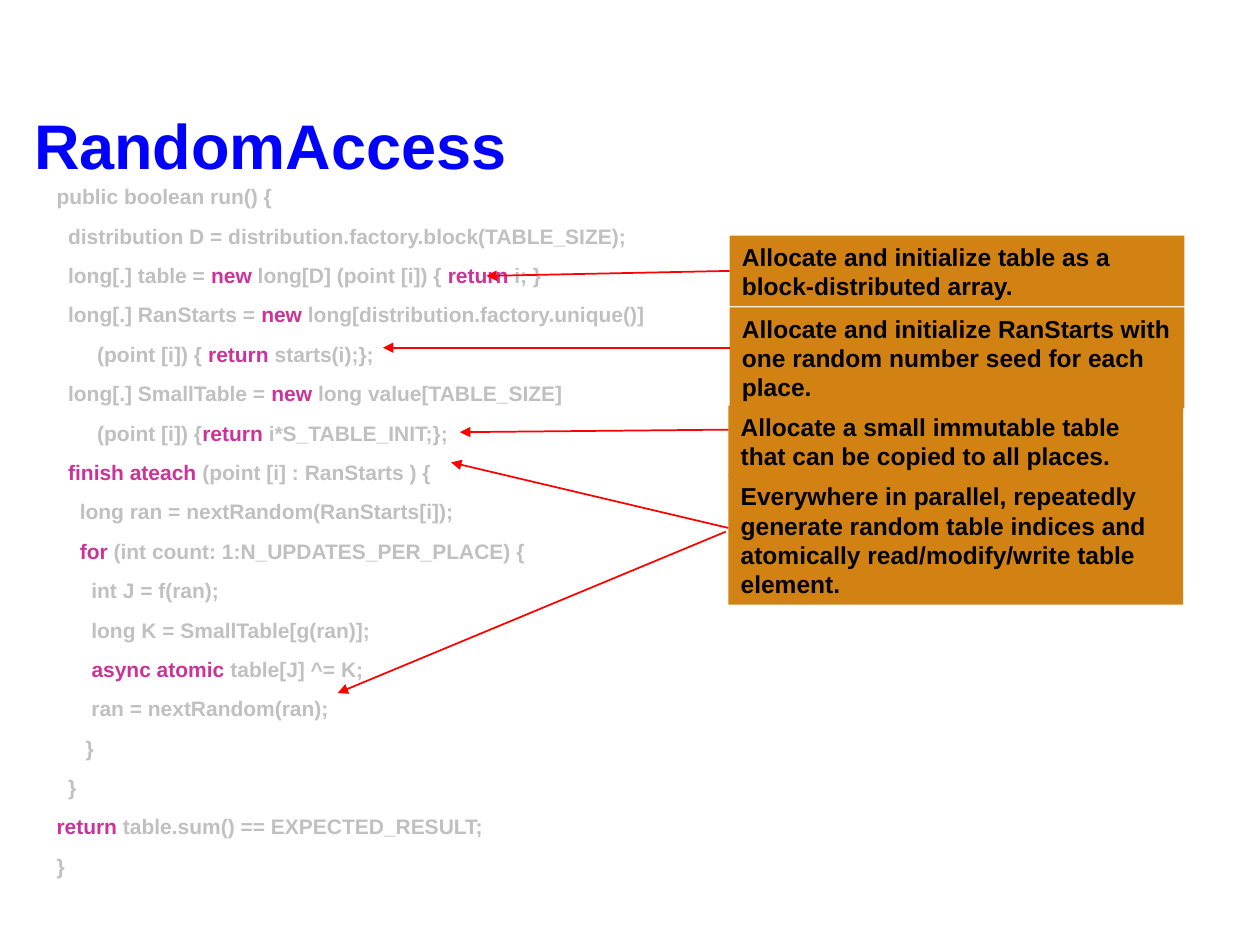
"""Build the RandomAccess slide: annotated code with call-outs."""
from lxml import etree
from pptx import Presentation
from pptx.dml.color import RGBColor
from pptx.enum.shapes import MSO_CONNECTOR, MSO_SHAPE
from pptx.enum.text import MSO_ANCHOR, MSO_AUTO_SIZE, PP_ALIGN
from pptx.oxml.ns import qn
from pptx.util import Inches, Pt

STRAIGHT = MSO_CONNECTOR.STRAIGHT
RECTANGLE = MSO_SHAPE.RECTANGLE
TOP, BOTTOM = MSO_ANCHOR.TOP, MSO_ANCHOR.BOTTOM
NO_FIT = MSO_AUTO_SIZE.NONE
LEFT = PP_ALIGN.LEFT
LEFT_SIDE = 1

COLORS = {
    "title": "0000FF",
    "code": "C0C0C0",
    "keyword": "CC3399",
    "note": "000000",
    "note_fill": "D18213",
    "arrow": "FF0000",
}

KEYWORD_MARK = "|"
CODE = [
    "public boolean run() {",
    "  distribution D = distribution.factory.block(TABLE_SIZE);",
    "  long[.] table = |new| long[D] (point [i]) { |return| i; }",
    "  long[.] RanStarts = |new| long[distribution.factory.unique()]",
    "       (point [i]) { |return| starts(i);};",
    "  long[.] SmallTable = |new| long value[TABLE_SIZE]",
    "       (point [i]) {|return| i*S_TABLE_INIT;};",
    "  |finish ateach| (point [i] : RanStarts ) {",
    "    long ran = nextRandom(RanStarts[i]);",
    "    |for| (int count: 1:N_UPDATES_PER_PLACE) {",
    "      int J = f(ran);",
    "      long K = SmallTable[g(ran)];",
    "      |async atomic| table[J] ^= K;",
    "      ran = nextRandom(ran);",
    "     }",
    "  }",
    "|return| table.sum() == EXPECTED_RESULT;",
    "}",
]

NOTES = [
    (57.9, 18.7, 5.6, "Allocate and initialize table as a block-distributed array."),
    (57.9, 24.4, 8, "Allocate and initialize RanStarts with one random number seed for each place."),
    (57.8, 32.2, 5.6, "Allocate a small immutable table that can be copied to all places."),
    (57.8, 37.7, 10.3, "Everywhere in parallel, repeatedly generate random table indices "
                       "and atomically read/modify/write table element."),
]
NOTE_WIDTH = 36.1

TABLE_ARROW = ((57.9, 21.5), (38.6, 21.9))
OTHER_ARROWS = [
    ((57.9, 27.6), (30.4, 27.6)),
    ((57.8, 34.1), (36.5, 34.3)),
    ((57.8, 41.9), (35.8, 36.7)),
    ((57.6, 42.2), (26.8, 55)),
]


class SlideBuilder:
    """Draws styled elements on a grid of 100 columns by 75 rows."""

    def __init__(self, columns=100, rows=75, font="Arial"):
        self.deck = Presentation()
        self.deck.slide_width, self.deck.slide_height = Inches(10), Inches(7.5)
        self.column = self.deck.slide_width / columns
        self.row = self.deck.slide_height / rows
        self.font = font
        self.slide = self.deck.slides.add_slide(self.deck.slide_layouts[5])

    def place(self, *lengths):
        """Turn alternating columns and rows into slide lengths."""
        return [round(length * (self.row if index % 2 else self.column))
                for index, length in enumerate(lengths)]

    def prepare(self, frame, anchor, wrap):
        frame.auto_size = NO_FIT
        frame.word_wrap = wrap
        frame.vertical_anchor = anchor
        frame.margin_left = frame.margin_right = Inches(0.1)
        frame.margin_top = frame.margin_bottom = Inches(0.05)

    def add_run(self, paragraph, text, size, color):
        paragraph.alignment = LEFT
        run = paragraph.add_run()
        run.text = text
        run.font.name, run.font.size, run.font.bold = self.font, Pt(size), True
        run.font.color.rgb = RGBColor.from_string(COLORS[color])

    def add_title(self, text, *area):
        title = self.slide.shapes.title
        title.left, title.top, title.width, title.height = self.place(*area)
        self.prepare(title.text_frame, BOTTOM, True)
        heading = title.text_frame.paragraphs[0]
        heading.line_spacing = 0.9
        self.add_run(heading, text, 36, "title")

    def add_code(self, lines, *area):
        frame = self.slide.shapes.add_textbox(*self.place(*area)).text_frame
        self.prepare(frame, TOP, False)
        for number, line in enumerate(lines):
            paragraph = frame.add_paragraph() if number else frame.paragraphs[0]
            if number:
                paragraph.space_before = Pt(8.1)
            for index, part in enumerate(line.split(KEYWORD_MARK)):
                if part:
                    self.add_run(paragraph, part, 12, "keyword" if index % 2 else "code")

    def add_note(self, text, *area):
        note = self.slide.shapes.add_shape(RECTANGLE, *self.place(*area))
        note.shadow.inherit = False
        note.fill.solid()
        note.fill.fore_color.rgb = RGBColor.from_string(COLORS["note_fill"])
        note.line.fill.background()
        self.prepare(note.text_frame, TOP, True)
        self.add_run(note.text_frame.paragraphs[0], text, 14, "note")
        return note

    def add_arrow(self, start, end):
        arrow = self.slide.shapes.add_connector(STRAIGHT, *self.place(*start, *end))
        arrow.line.color.rgb = RGBColor.from_string(COLORS["arrow"])
        arrow.line.width = Pt(1)
        etree.SubElement(arrow.line._get_or_add_ln(), qn("a:tailEnd"), type="triangle")
        etree.SubElement(arrow._element.spPr, qn("a:effectLst"))
        return arrow

    def save(self):
        self.deck.save("out.pptx")


def main():
    builder = SlideBuilder()
    builder.add_title("RandomAccess", 1.7, 9.5, 95.8, 5.5)
    builder.add_code(CODE, 3.5, 14.1, 49.1, 54.7)
    notes = [builder.add_note(text, left, top, NOTE_WIDTH, height)
             for left, top, height, text in NOTES]
    builder.add_arrow(*TABLE_ARROW).begin_connect(notes[0], LEFT_SIDE)
    for start, end in OTHER_ARROWS:
        builder.add_arrow(start, end)
    builder.save()


if __name__ == "__main__":
    main()
